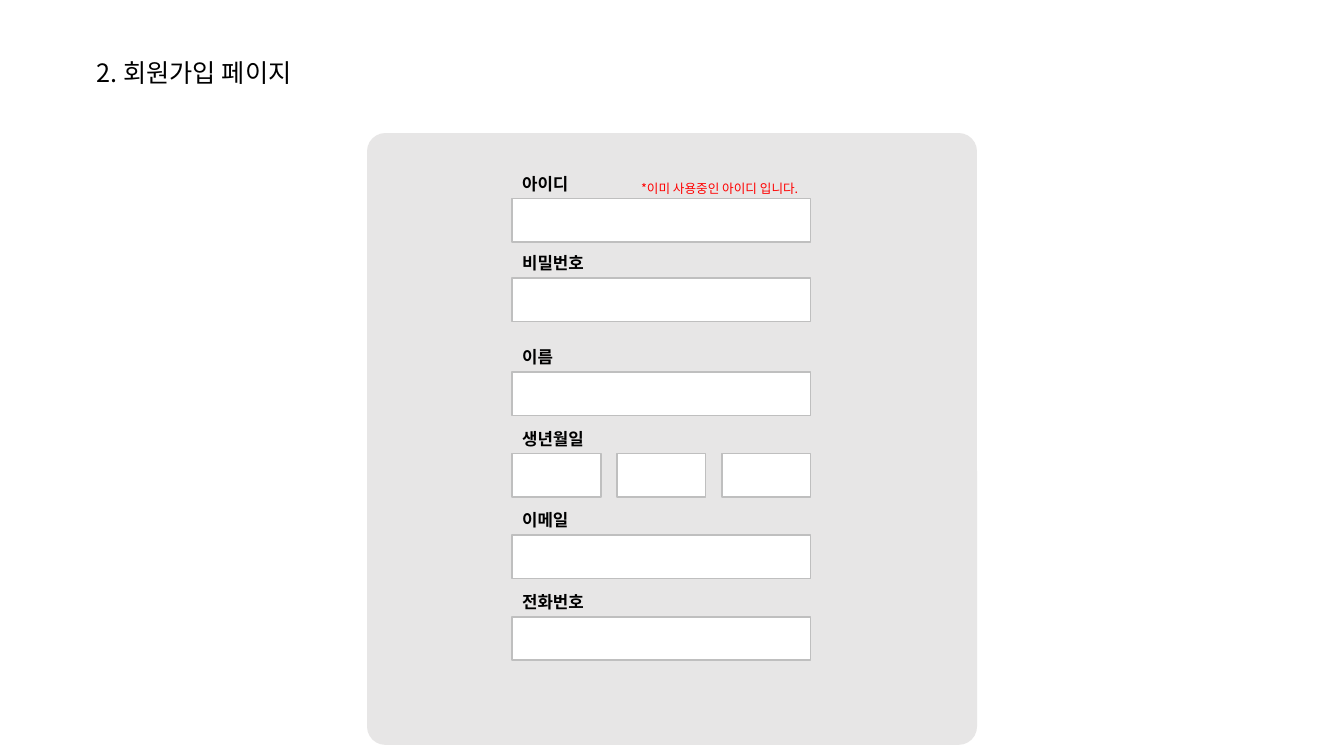
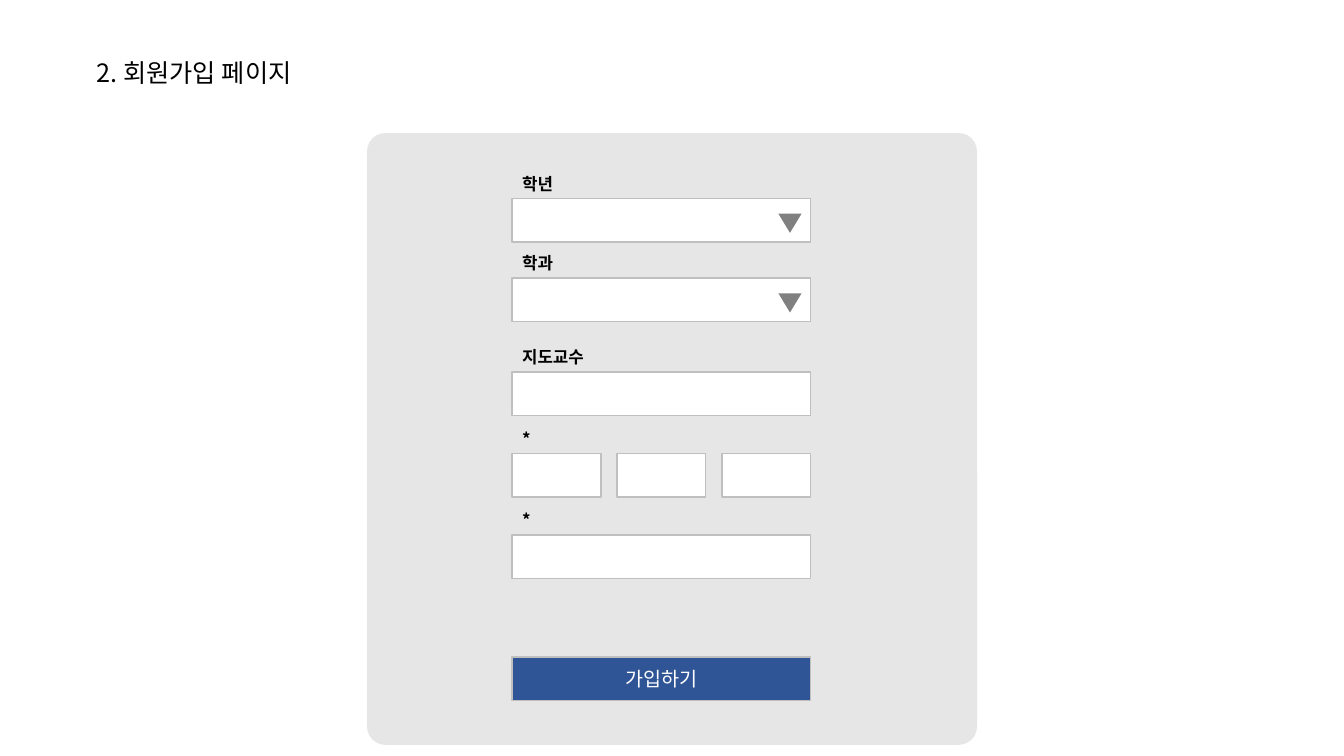
import dataclasses
import typing

import lxml.etree
import pptx
import pptx.dml.color
import pptx.enum.shapes
import pptx.enum.text
import pptx.oxml.ns
import pptx.util

Inches = pptx.util.Inches
Pt = pptx.util.Pt
Shapes = pptx.enum.shapes.MSO_SHAPE
Align = pptx.enum.text.PP_ALIGN
Anchor = pptx.enum.text.MSO_ANCHOR

FONT = "Noto Sans CJK KR"
BLACK, WHITE, RED = "000000", "FFFFFF", "FF0000"
PANEL_GRAY, BORDER_GRAY, ARROW_GRAY = "E7E6E6", "BFBFBF", "808080"
BUTTON_BLUE = "2F5597"

TITLE = "2. 회원가입 페이지"
FIELD_LEFT, FIELD_WIDTH, FIELD_HEIGHT = 5.08, 2.96, 0.43
LABEL_HEIGHT = 0.3
INPUT_GAP = 0.16
ACCOUNT_TOP, ACCOUNT_PITCH, ACCOUNT_ROWS = 1.97, 0.79, 2
DETAIL_TOP, DETAIL_PITCH = 3.69, 0.81
BUTTON_TOP = 6.52


@dataclasses.dataclass(frozen=True)
class Field:
    label: str
    inputs: int = 1
    dropdown: bool = False
    error: str = ""


@dataclasses.dataclass(frozen=True)
class Form:
    fields: tuple[Field, ...]
    button: str = ""


FORMS = (
    Form((
        Field("아이디", error="*이미 사용중인 아이디 입니다."),
        Field("비밀번호"),
        Field("이름"),
        Field("생년월일", inputs=3),
        Field("이메일"),
        Field("전화번호"),
    )),
    Form((
        Field("학년", dropdown=True),
        Field("학과", dropdown=True),
        Field("지도교수"),
        Field("*", inputs=3),
        Field("*"),
    ), button="가입하기"),
)


def color(value: str) -> pptx.dml.color.RGBColor:
    return pptx.dml.color.RGBColor.from_string(value)


def write_text(shape: typing.Any, text: str, *, size: float, ink: str = BLACK,
               bold: bool = False, align: Align = Align.LEFT,
               anchor: Anchor = Anchor.TOP) -> None:
    frame = shape.text_frame
    frame.word_wrap = True
    frame.auto_size = pptx.enum.text.MSO_AUTO_SIZE.NONE
    frame.vertical_anchor = anchor
    para = frame.paragraphs[0]
    para.alignment = align
    span = para.add_run()
    span.text = text
    span.font.size = Pt(size)
    span.font.bold = bold
    span.font.color.rgb = color(ink)
    span.font.name = FONT
    east_asian = lxml.etree.SubElement(span.font._element, pptx.oxml.ns.qn("a:ea"))
    east_asian.set("typeface", FONT)


def add_text(shapes: typing.Any, left: float, top: float, width: float,
             height: float, text: str, **text_format: typing.Any) -> None:
    box = shapes.add_textbox(Inches(left), Inches(top), Inches(width), Inches(height))
    write_text(box, text, **text_format)


def add_shape(shapes: typing.Any, kind: Shapes, left: float, top: float,
              width: float, height: float, fill: str, border: str = "") -> typing.Any:
    shape = shapes.add_shape(kind, Inches(left), Inches(top), Inches(width), Inches(height))
    shape.shadow.inherit = False
    shape.fill.solid()
    shape.fill.fore_color.rgb = color(fill)
    if border:
        shape.line.color.rgb = color(border)
        shape.line.width = Pt(1)
    else:
        shape.line.fill.background()
    return shape


def field_top(row: int) -> float:
    """The account rows and the detail rows form two evenly spaced blocks."""
    if row < ACCOUNT_ROWS:
        return ACCOUNT_TOP + row * ACCOUNT_PITCH
    return DETAIL_TOP + (row - ACCOUNT_ROWS) * DETAIL_PITCH


def add_field(page: typing.Any, field: Field, top: float) -> None:
    shapes = page.shapes.add_group_shape().shapes
    width = (FIELD_WIDTH - (field.inputs - 1) * INPUT_GAP) / field.inputs
    for column in range(field.inputs):
        add_shape(shapes, Shapes.RECTANGLE, FIELD_LEFT + column * (width + INPUT_GAP), top,
                  width, FIELD_HEIGHT, WHITE, BORDER_GRAY)
    add_text(shapes, FIELD_LEFT, top - LABEL_HEIGHT, 1.1, LABEL_HEIGHT, field.label,
             size=12, bold=True)
    if field.dropdown:
        arrow = add_shape(shapes, Shapes.ISOSCELES_TRIANGLE, 7.72, top + 0.15,
                          0.23, 0.19, ARROW_GRAY)
        arrow.rotation = 180
    if field.error:
        add_text(shapes, 6.26, top - 0.22, 2, 0.25, field.error, size=9, ink=RED)


def place_title(layout: typing.Any) -> None:
    title = layout.placeholders[0]
    title.left, title.top = Inches(0.86), Inches(0.52)
    title.width, title.height = Inches(4), Inches(0.4)


def add_form_page(deck: typing.Any, layout: typing.Any, form: Form) -> None:
    page = deck.slides.add_slide(layout)
    write_text(page.shapes.title, TITLE, size=18)
    panel = add_shape(page.shapes, Shapes.ROUNDED_RECTANGLE, 3.64, 1.32, 6.05, 6.07,
                      PANEL_GRAY)
    panel.adjustments[0] = 0.03
    for row, field in enumerate(form.fields):
        add_field(page, field, field_top(row))
    if form.button:
        button = add_shape(page.shapes, Shapes.RECTANGLE, FIELD_LEFT, BUTTON_TOP,
                           FIELD_WIDTH, FIELD_HEIGHT, BUTTON_BLUE, BORDER_GRAY)
        write_text(button, form.button, size=14, ink=WHITE, align=Align.CENTER,
                   anchor=Anchor.MIDDLE)


def main() -> None:
    deck = pptx.Presentation()
    deck.slide_width, deck.slide_height = Inches(13.33), Inches(7.5)
    layout = deck.slide_layouts.get_by_name("Title Only")
    place_title(layout)
    for form in FORMS:
        add_form_page(deck, layout, form)
    deck.save("out.pptx")


if __name__ == "__main__":
    main()
